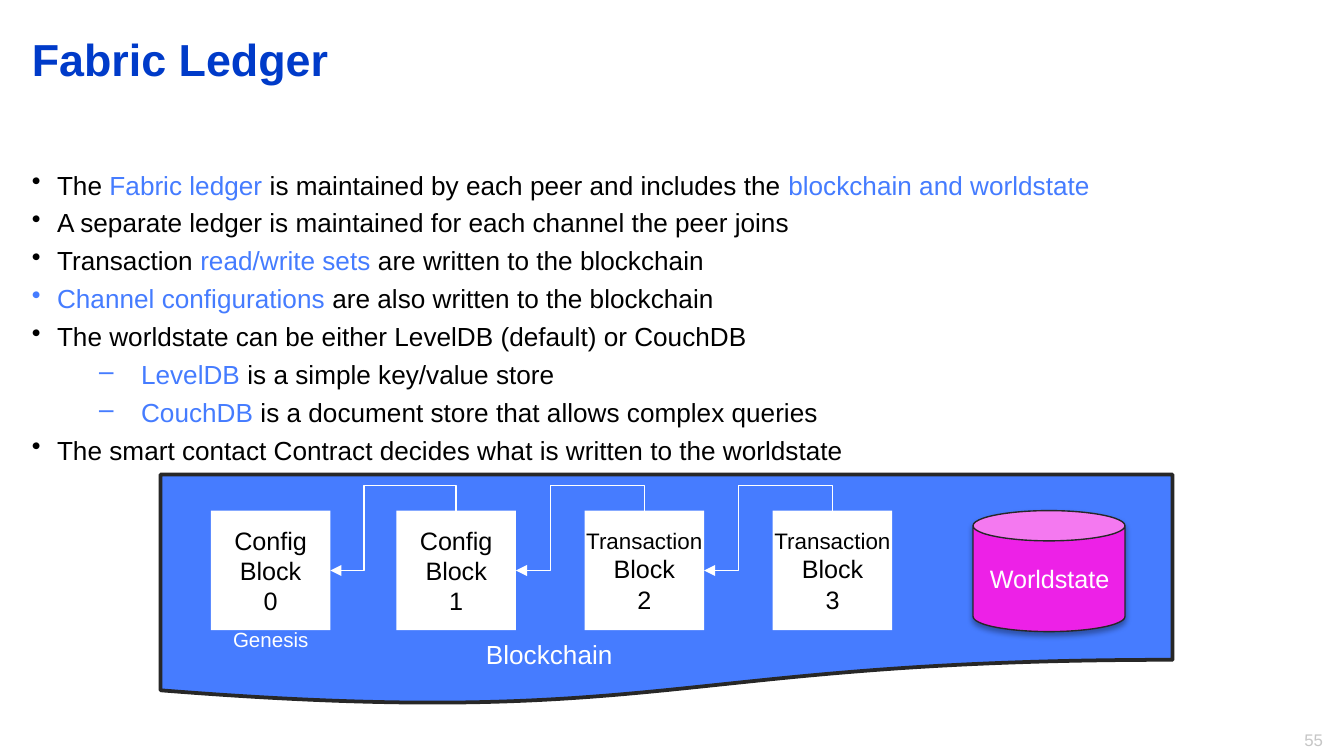
"""Build the Fabric Ledger slide with its bullets and blockchain diagram."""
import lxml.etree
import pptx
import pptx.dml.color
import pptx.enum.shapes
import pptx.enum.text
import pptx.oxml
import pptx.oxml.ns
import pptx.util

Pt = pptx.util.Pt
SHAPE = pptx.enum.shapes.MSO_SHAPE
ALIGN = pptx.enum.text.PP_ALIGN
ANCHOR = pptx.enum.text.MSO_ANCHOR

COLORS = {
    "title": "003BC9", "accent": "457CFF", "text": "000000", "white": "FFFFFF",
    "panel": "467CFF", "outline": "272727", "store": "ED21E7", "number": "C6C6C6",
}

BULLETS = [
    (0, [("The ", "text"), ("Fabric ledger ", "accent"),
         ("is maintained by each peer and includes the ", "text"),
         ("blockchain and worldstate", "accent")]),
    (0, [("A separate ledger is maintained for each channel the peer joins", "text")]),
    (0, [("Transaction ", "text"), ("read/write sets", "accent"),
         (" are written to the blockchain", "text")]),
    (0, [("Channel configurations ", "accent"),
         ("are also written to the blockchain", "text")]),
    (0, [("The worldstate can be either LevelDB (default) or CouchDB", "text")]),
    (1, [("LevelDB ", "accent"), ("is a simple key/value store", "text")]),
    (1, [("CouchDB ", "accent"),
         ("is a document store that allows complex queries", "text")]),
    (0, [("The smart contact Contract decides what is written to the worldstate", "text")]),
]
BULLET_LEVELS = [("•", 13.5, -13.5), ("–", 58.5, -22.5)]

BLOCKS = [
    (113, ["Config Block", "0"]),
    (212.4, ["Config", "Block", "1"]),
    (313.2, ["Transaction", "Block", "2"]),
    (414, ["Transaction", "Block", "3"]),
]
BLOCK_TOP, BLOCK_SIZE = 273.6, 64

LABELS = [
    ("Fabric Ledger", (10, 13.5, 612, 80), dict(size=24, color="title", bold=True)),
    ("Genesis", (116.6, 332.6, 57, 21), dict(size=11, align=ALIGN.CENTER)),
    ("Worldstate", (522, 298, 80.6, 24), dict(size=13.5, align=ALIGN.CENTER)),
    ("Blockchain", (250, 338.4, 88.6, 24.5), dict(size=14, align=ALIGN.CENTER)),
    ("55", (674, 387.4, 41.8, 18), dict(size=9, color="number", align=ALIGN.RIGHT)),
]


def rgb(name):
    return pptx.dml.color.RGBColor.from_string(COLORS[name])


def add_run(paragraph, text, size=14, color="white", bold=False):
    run = paragraph.add_run()
    run.text = text
    run.font.name = "Arial"
    run.font.size = Pt(size)
    run.font.bold = bold
    run.font.color.rgb = rgb(color)


def add_text_box(slide, box):
    frame = slide.shapes.add_textbox(*map(Pt, box)).text_frame
    frame.word_wrap = True
    return frame


def add_label(slide, text, box, align=ALIGN.LEFT, **font):
    paragraph = add_text_box(slide, box).paragraphs[0]
    paragraph.alignment = align
    add_run(paragraph, text, **font)


def add_shape(slide, kind, box, fill, outline=None, width=0.75):
    shape = slide.shapes.add_shape(kind, *map(Pt, box))
    shape.shadow.inherit = False
    shape.fill.solid()
    shape.fill.fore_color.rgb = rgb(fill)
    if outline:
        shape.line.color.rgb = rgb(outline)
        shape.line.width = Pt(width)
    else:
        shape.line.fill.background()
    return shape


def add_bullets(slide):
    frame = add_text_box(slide, (10, 87, 700, 158.4))
    for index, (level, runs) in enumerate(BULLETS):
        paragraph = frame.paragraphs[0] if index == 0 else frame.add_paragraph()
        symbol, margin, indent = BULLET_LEVELS[level]
        paragraph.level = level
        if index:
            paragraph.space_before = Pt(3.5)
        properties = paragraph._p.get_or_add_pPr()
        properties.set("marL", str(Pt(margin)))
        properties.set("indent", str(Pt(indent)))
        bullet = lxml.etree.SubElement(properties, pptx.oxml.ns.qn("a:buChar"))
        bullet.set("char", symbol)
        for text, color in runs:
            add_run(paragraph, text, color=color)


def add_block(slide, left, lines):
    shape = add_shape(slide, SHAPE.RECTANGLE, (left, BLOCK_TOP, BLOCK_SIZE, BLOCK_SIZE), "white")
    frame = shape.text_frame
    frame.word_wrap = True
    frame.vertical_anchor = ANCHOR.MIDDLE
    if "Transaction" in lines:
        frame.margin_left = frame.margin_right = 0
    for index, line in enumerate(lines):
        paragraph = frame.paragraphs[0] if index == 0 else frame.add_paragraph()
        paragraph.alignment = ALIGN.CENTER
        add_run(paragraph, line, size=12 if line == "Transaction" else 13.5, color="text")


def add_back_link(slide, previous_left, left):
    start, end = left + BLOCK_SIZE / 2, previous_left + BLOCK_SIZE
    span, drop = start - end, BLOCK_SIZE / 2
    frame_left = (start + end - drop) / 2
    frame_top = BLOCK_TOP + (drop - span) / 2
    connector = slide.shapes.add_connector(
        pptx.enum.shapes.MSO_CONNECTOR.ELBOW, Pt(frame_left), Pt(frame_top),
        Pt(frame_left + drop), Pt(frame_top + span))
    connector.line.color.rgb = rgb("white")
    connector.line.width = Pt(0.75)
    properties = connector._element.spPr
    for name, value in (("rot", "16200000"), ("flipH", "1"), ("flipV", "1")):
        properties.xfrm.set(name, value)
    geometry = properties.find(pptx.oxml.ns.qn("a:prstGeom"))
    geometry.set("prst", "bentConnector4")
    guides = geometry.get_or_add_avLst()
    for name, value in (("adj1", -42300), ("adj2", 73300)):
        guide = lxml.etree.SubElement(guides, pptx.oxml.ns.qn("a:gd"))
        guide.set("name", name)
        guide.set("fmla", f"val {value}")
    arrow = lxml.etree.SubElement(connector.line._get_or_add_ln(), pptx.oxml.ns.qn("a:tailEnd"))
    arrow.set("type", "triangle")
    lxml.etree.SubElement(properties, pptx.oxml.ns.qn("a:effectLst"))


def add_worldstate(slide):
    store = add_shape(slide, SHAPE.CAN, (521.3, 273.6, 81.4, 64.8), "store", "outline")
    effects = store._element.spPr.find(pptx.oxml.ns.qn("a:effectLst"))
    effects.append(pptx.oxml.parse_xml(
        f'<a:outerShdw {pptx.oxml.ns.nsdecls("a")} blurRad="{Pt(3.1)}" dist="{Pt(1.8)}" '
        'dir="5400000" rotWithShape="0"><a:srgbClr val="000000">'
        '<a:alpha val="35000"/></a:srgbClr></a:outerShdw>'))


def main():
    presentation = pptx.Presentation()
    presentation.slide_width, presentation.slide_height = Pt(720), Pt(405)
    slide = presentation.slides.add_slide(presentation.slide_layouts[6])
    add_shape(slide, SHAPE.FLOWCHART_DOCUMENT, (86, 254.2, 542.2, 123.8), "panel", "outline", 2)
    add_bullets(slide)
    for left, lines in BLOCKS:
        add_block(slide, left, lines)
    for (previous_left, _), (left, _) in zip(BLOCKS, BLOCKS[1:]):
        add_back_link(slide, previous_left, left)
    add_worldstate(slide)
    for text, box, style in LABELS:
        add_label(slide, text, box, **style)
    presentation.save("out.pptx")


if __name__ == "__main__":
    main()
